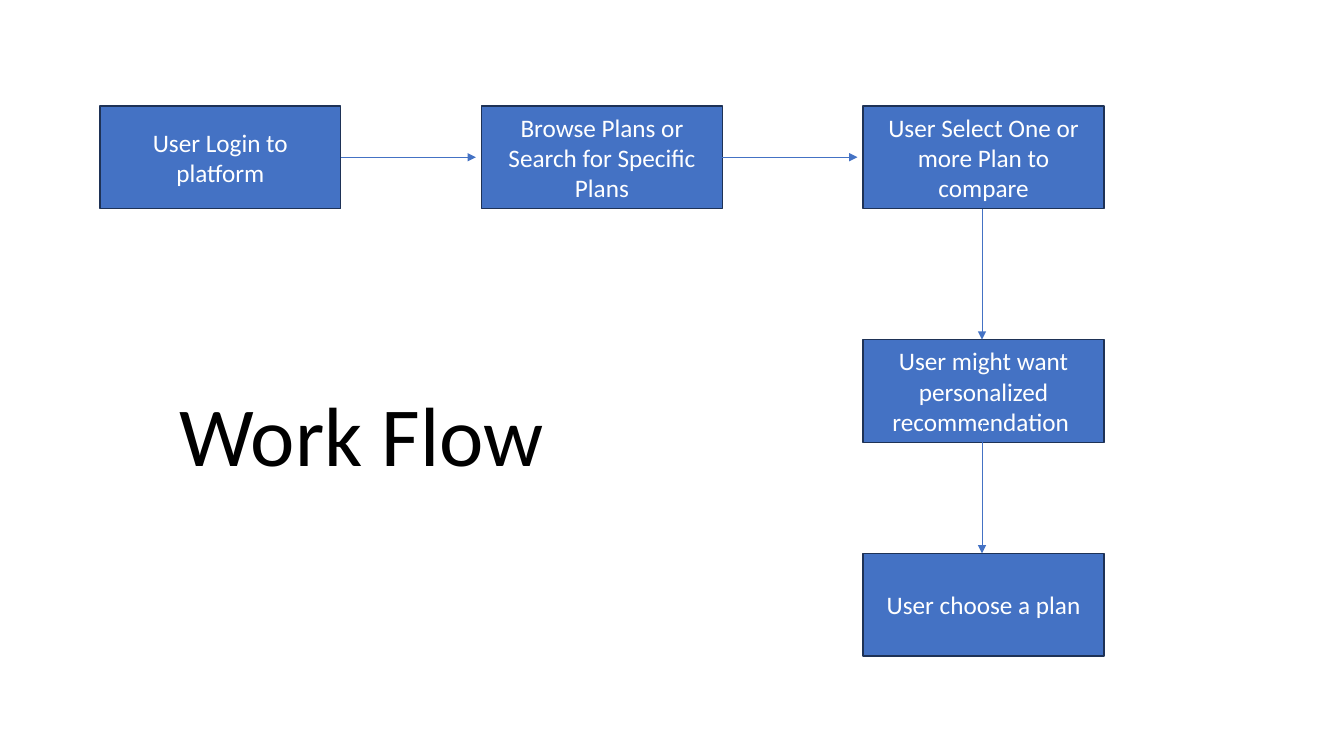
from dataclasses import dataclass

from lxml.etree import SubElement
from pptx import Presentation
from pptx.dml.color import RGBColor as Rgb
from pptx.enum.shapes import MSO_CONNECTOR as Link, MSO_SHAPE as Form
from pptx.enum.text import MSO_ANCHOR as Anchor, PP_ALIGN as Align
from pptx.oxml.ns import qn
from pptx.util import Pt

SCALE = 9144


@dataclass(frozen=True)
class Theme:
    font: str = "Calibri"
    blue: str = "4472C4"
    edge: str = "1E3256"
    white: str = "FFFFFF"
    black: str = "000000"
    body: int = 18
    title: int = 60


THEME = Theme()
WIDE, HIGH = 239, 102
LEFT, STEP = 99, 378.5
TOP = 105
RIGHT = 856
SPINE = 974


def px(*nums):
    return [round(n * SCALE) for n in nums]


def write(shape, text, size=THEME.body, color=THEME.white, anchor=Anchor.MIDDLE):
    frame = shape.text_frame
    frame.word_wrap = True
    frame.vertical_anchor = anchor
    para = frame.paragraphs[0]
    para.alignment = Align.CENTER
    run = para.add_run()
    run.text = text
    run.font.name = THEME.font
    run.font.size = Pt(size)
    run.font.color.rgb = Rgb.from_string(color)


def add_box(slide, left, top, text):
    box = slide.shapes.add_shape(Form.RECTANGLE, *px(left, top, WIDE, HIGH))
    box.shadow.inherit = False
    box.fill.solid()
    box.fill.fore_color.rgb = Rgb.from_string(THEME.blue)
    box.line.color.rgb = Rgb.from_string(THEME.edge)
    box.line.width = Pt(1)
    write(box, text)


def add_arrow(slide, *ends):
    arrow = slide.shapes.add_connector(Link.STRAIGHT, *px(*ends))
    arrow.line.color.rgb = Rgb.from_string(THEME.blue)
    arrow.line.width = Pt(0.5)
    props = arrow.line._get_or_add_ln()
    SubElement(props, qn("a:tailEnd"), type="triangle")
    SubElement(arrow._element.spPr, qn("a:effectLst"))


def add_title(slide, text):
    box = slide.shapes.add_textbox(*px(141, 375, 435, 111))
    write(box, text, size=THEME.title, color=THEME.black, anchor=Anchor.TOP)


def main():
    deck = Presentation()
    deck.slide_width, deck.slide_height = px(1333, 750)
    slide = deck.slides.add_slide(deck.slide_layouts[6])
    across = (
        "User Login to platform",
        "Browse Plans or Search for Specific Plans",
        "User Select One or more Plan to compare",
    )
    for col, text in enumerate(across):
        add_box(slide, LEFT + col * STEP, TOP, text)
    down = (
        (337, "User might want personalized recommendation "),
        (549, "User choose a plan"),
    )
    for top, text in down:
        add_box(slide, RIGHT, top, text)
    for col in range(2):
        start = LEFT + WIDE + col * STEP
        add_arrow(slide, start, 156, start + 134, 156)
    for start, end in ((207, 337), (419, 549)):
        add_arrow(slide, SPINE, start, SPINE, end)
    add_title(slide, "Work Flow")
    deck.save("out.pptx")


if __name__ == "__main__":
    main()
